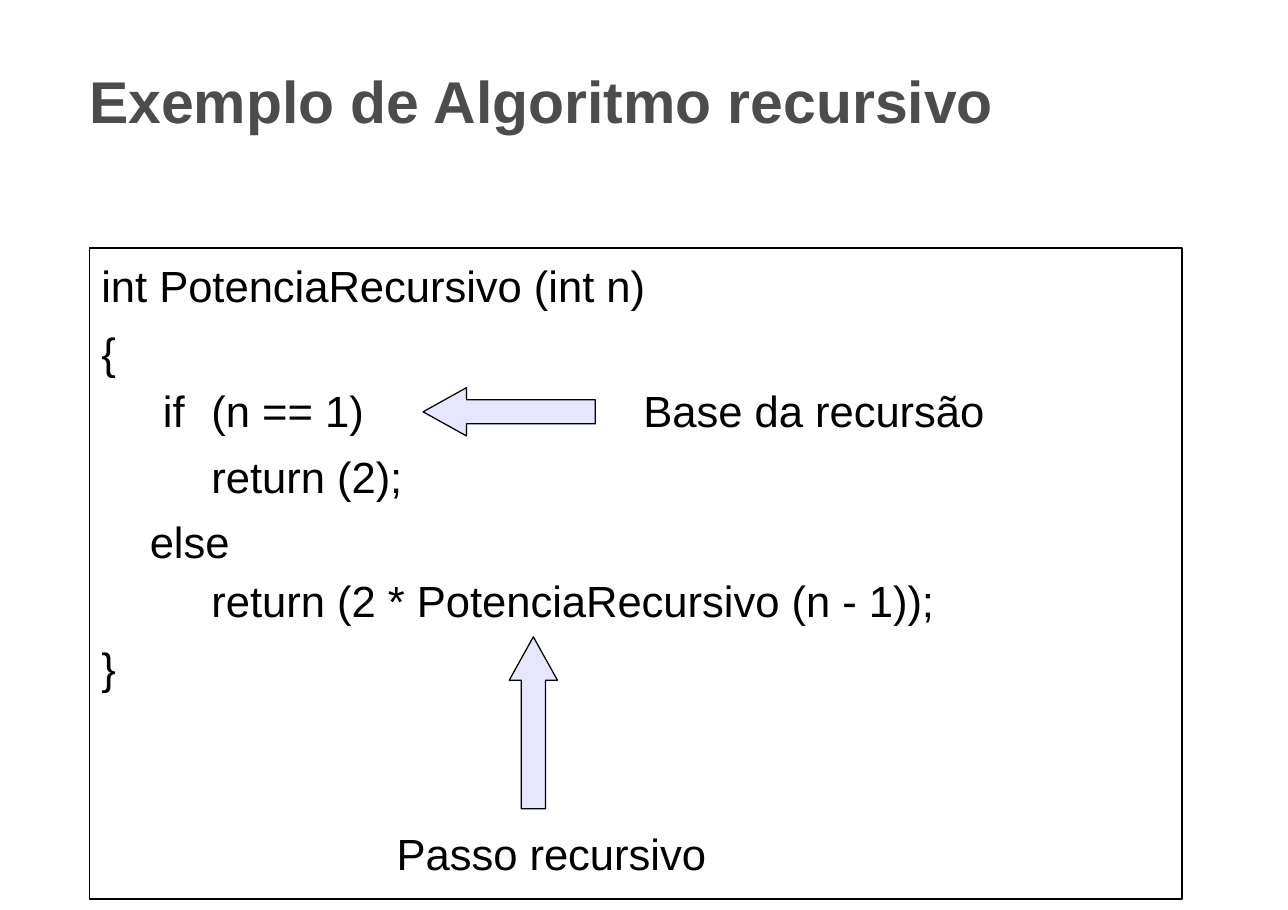
import pptx
import pptx.dml.color
import pptx.enum.shapes
import pptx.enum.text
import pptx.oxml.ns
import pptx.util
from lxml import etree

Pt = pptx.util.Pt
MSO_SHAPE = pptx.enum.shapes.MSO_SHAPE


def colour(code):
    return pptx.dml.color.RGBColor.from_string(code)


class CodeSlide:
    font = "Arial"
    ink = "000000"
    heading_ink = "4C4C4C"
    arrow_fill = "E6E6FF"
    line_width = 0.81
    text_size = 28.5
    title_size = 38.5

    def __init__(self, deck):
        self.slide = deck.slides.add_slide(deck.slide_layouts[5])

    def prepare(self, frame):
        frame.margin_left = frame.margin_right = 0
        frame.margin_top = frame.margin_bottom = 0
        frame.word_wrap = True
        frame.auto_size = pptx.enum.text.MSO_AUTO_SIZE.NONE
        frame.vertical_anchor = pptx.enum.text.MSO_ANCHOR.TOP

    def format(self, paragraph, size, code, bold=False, spacing=1.08):
        paragraph.alignment = pptx.enum.text.PP_ALIGN.LEFT
        paragraph.line_spacing = spacing
        for run in paragraph.runs:
            run.font.name = self.font
            run.font.size = Pt(size)
            run.font.bold = bold
            run.font.color.rgb = colour(code)

    def title(self, wording, left, top, width, height):
        heading = self.slide.shapes.title
        heading.left, heading.top = Pt(left), Pt(top)
        heading.width, heading.height = Pt(width), Pt(height)
        self.prepare(heading.text_frame)
        heading.text_frame.text = wording
        self.format(heading.text_frame.paragraphs[0], self.title_size,
                    self.heading_ink, True, 1.06)

    def text(self, lines, left, top, width, height):
        box = self.slide.shapes.add_textbox(Pt(left), Pt(top), Pt(width), Pt(height))
        frame = box.text_frame
        self.prepare(frame)
        frame.text = "\n".join(wording for wording, *_ in lines)
        for position, (paragraph, line) in enumerate(zip(frame.paragraphs, lines)):
            _, margin, hanging, spacing = line
            self.format(paragraph, self.text_size, self.ink, spacing=spacing)
            paragraph.space_before = Pt(7 if position else 0)
            self.indent(paragraph, margin, hanging)

    def indent(self, paragraph, margin, hanging):
        properties = paragraph._p.get_or_add_pPr()
        properties.set("marL", str(Pt(margin)))
        properties.set("indent", str(Pt(-hanging)))
        if hanging:
            stops = etree.SubElement(properties, pptx.oxml.ns.qn("a:tabLst"))
            etree.SubElement(stops, pptx.oxml.ns.qn("a:tab"),
                             pos=str(Pt(39.6)), algn="l")

    def shape(self, kind, left, top, width, height, fill=None):
        outline = self.slide.shapes.add_shape(kind, Pt(left), Pt(top), Pt(width), Pt(height))
        outline.shadow.inherit = False
        if fill:
            outline.fill.solid()
            outline.fill.fore_color.rgb = colour(fill)
        else:
            outline.fill.background()
        outline.line.color.rgb = colour(self.ink)
        outline.line.width = Pt(self.line_width)
        return outline

    def arrow(self, kind, left, top, width, height):
        pointer = self.shape(kind, left, top, width, height, self.arrow_fill)
        pointer.adjustments[0] = 0.5
        pointer.adjustments[1] = 0.9


def main():
    deck = pptx.Presentation()
    deck.slide_width, deck.slide_height = Pt(841.68), Pt(594.72)
    page = CodeSlide(deck)
    page.title("Exemplo de Algoritmo recursivo", 58.3, 39.6, 726.5, 46.8)
    page.shape(MSO_SHAPE.RECTANGLE, 58.3, 162, 714.2, 425.5)
    page.text([("int PotenciaRecursivo (int n)", 0.7, 0, 1.08),
               ("{", 0.7, 0, 1.08)], 65.5, 166.3, 370, 76.3)
    page.text([("Base da recursão", 0.7, 0, 1.08)], 419.8, 248.4, 235, 35.3)
    page.text([("if\t(n == 1)\vreturn (2);", 41, 31.7, 1.26),
               ("else", 0.7, 0, 1.04)], 97.2, 241.9, 167.8, 124.6)
    page.text([("return (2 * PotenciaRecursivo (n - 1));", 72.7, 0, 1.08),
               ("}", 0.7, 0, 1.08)], 65.5, 372.2, 560, 76.3)
    page.text([("Passo recursivo", 0.7, 0, 1.08)], 258.5, 537.8, 212, 35.3)
    page.arrow(MSO_SHAPE.LEFT_ARROW, 276.5, 253.4, 112.6, 31.5)
    page.arrow(MSO_SHAPE.UP_ARROW, 332.8, 416.2, 31.5, 112.3)
    deck.save("out.pptx")


if __name__ == "__main__":
    main()
